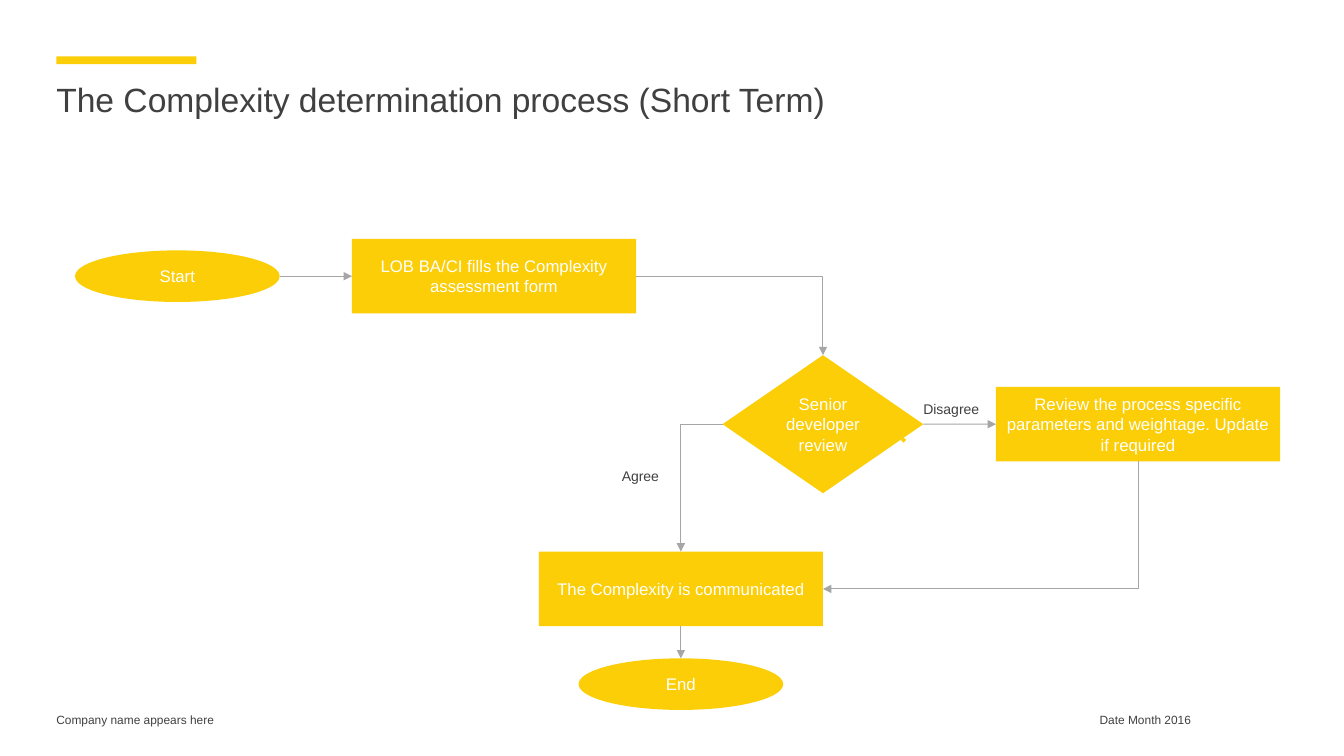
from lxml import etree
from pptx import Presentation, util as u
from pptx.dml.color import RGBColor
from pptx.enum import shapes, text
from pptx.oxml.ns import qn

FONT = "Arial"
COLORS = {"yellow": "FBCE07", "dark": "404040", "white": "FFFFFF", "gray": "A6A6A6"}
LEFT, CENTER = text.PP_ALIGN.LEFT, text.PP_ALIGN.CENTER
KIND = shapes.MSO_SHAPE

# Kind: preset shape, width, height (cm)
NODE_KINDS = {
    "terminal": (KIND.OVAL, 5.16, 1.3),
    "step": (KIND.RECTANGLE, 7.16, 1.88),
    "decision": (KIND.DIAMOND, 5.06, 3.48),
    "dot": (KIND.DIAMOND, 0.13, 0.13),
}
# Name: kind, centre x, centre y (cm), wording
NODES = {
    "start": ("terminal", 4.47, 6.96, "Start"),
    "form": ("step", 12.45, 6.96, "LOB BA/CI fills the Complexity assessment form"),
    "dot": ("dot", 22.77, 11.09, ""),
    "senior": ("decision", 20.74, 10.69, "Senior developer review"),
    "communicated": ("step", 17.16, 14.84, "The Complexity is communicated"),
    "update": ("step", 28.68, 10.69,
               "Review the process specific parameters and weightage. Update if required"),
    "end": ("terminal", 17.16, 17.24, "End"),
}
# From node, side, to node, side
FLOWS = [
    ("start", "right", "form", "left"),
    ("form", "right", "senior", "top"),
    ("senior", "left", "communicated", "top"),
    ("senior", "right", "update", "left"),
    ("update", "bottom", "communicated", "right"),
    ("communicated", "bottom", "end", "top"),
]
# Wording, left, top, width, height (cm), size (pt), alignment, line spacing
TEXTS = [
    ("The Complexity determination process (Short Term)", 1.42, 1.98, 31.04, 2.08, 24, LEFT, 1),
    ("Company name appears here", 1.42, 17.96, 9.32, 0.66, 8.5, LEFT, 1),
    ("Date Month 2016", 26.87, 17.96, 3.99, 0.66, 8.5, CENTER, 1),
    ("Disagree", 23.27, 9.93, 1.83, 0.53, 10, LEFT, 1.4),
    ("Agree", 15.67, 11.61, 1.83, 0.53, 10, LEFT, 1.4),
]
SIDES = {"top": 0, "left": 1, "bottom": 2, "right": 3}


def rgb(name):
    return RGBColor.from_string(COLORS[name])


def style_text(frame, wording, size, color, align, spacing=1):
    frame.word_wrap = True
    paragraph = frame.paragraphs[0]
    paragraph.text = wording
    paragraph.alignment = align
    paragraph.line_spacing = spacing
    paragraph.font.name = FONT
    paragraph.font.size = u.Pt(size)
    paragraph.font.color.rgb = rgb(color)


def add_text(slide, wording, left, top, width, height, size, align, spacing):
    box = slide.shapes.add_textbox(u.Cm(left), u.Cm(top), u.Cm(width), u.Cm(height))
    frame = box.text_frame
    frame.margin_left = frame.margin_right = frame.margin_top = frame.margin_bottom = 0
    style_text(frame, wording, size, "dark", align, spacing)


def add_block(slide, preset, left, top, width, height):
    shape = slide.shapes.add_shape(preset, u.Cm(left), u.Cm(top), u.Cm(width), u.Cm(height))
    shape.shadow.inherit = False
    shape.fill.solid()
    shape.fill.fore_color.rgb = rgb("yellow")
    shape.line.fill.background()
    return shape


def add_node(slide, kind, center_x, center_y, wording):
    preset, width, height = NODE_KINDS[kind]
    shape = add_block(slide, preset, center_x - width / 2, center_y - height / 2, width, height)
    if wording:
        shape.text_frame.vertical_anchor = text.MSO_ANCHOR.MIDDLE
        style_text(shape.text_frame, wording, 12, "white", CENTER)
    return shape


def turn_down_first(connector):
    """Turn a one-bend connector a quarter, so that it runs down and then left."""
    center_x = connector.left + connector.width // 2
    center_y = connector.top + connector.height // 2
    connector.width, connector.height = connector.height, connector.width
    connector.left = center_x - connector.width // 2
    connector.top = center_y - connector.height // 2
    frame = connector._element.spPr.find(qn("a:xfrm"))
    frame.set("flipH", "0")
    frame.set("rot", "5400000")


def add_flow(slide, nodes, source, source_side, target, target_side):
    straight = {source_side, target_side} in ({"left", "right"}, {"top", "bottom"})
    kind = shapes.MSO_CONNECTOR.STRAIGHT if straight else shapes.MSO_CONNECTOR.ELBOW
    connector = slide.shapes.add_connector(kind, 0, 0, 0, 0)
    connector.begin_connect(nodes[source], SIDES[source_side])
    connector.end_connect(nodes[target], SIDES[target_side])
    properties = connector._element.spPr
    # An ellipse has eight connection sites, two for each step round the outline
    for name, side, tag in ((source, source_side, "a:stCxn"), (target, target_side, "a:endCxn")):
        if NODES[name][0] == "terminal":
            site = next(connector._element.iter(qn(tag)))
            site.set("idx", str(SIDES[side] * 2))
    if not straight:
        properties.find(qn("a:prstGeom")).set("prst", "bentConnector2")
        if source_side == "bottom":
            turn_down_first(connector)
    connector.line.color.rgb = rgb("gray")
    connector.line.width = u.Pt(0.75)
    line = properties.find(qn("a:ln"))
    etree.SubElement(line, qn("a:tailEnd")).set("type", "triangle")
    etree.SubElement(properties, qn("a:effectLst"))


def main():
    presentation = Presentation()
    presentation.slide_width, presentation.slide_height = u.Cm(33.87), u.Cm(19.05)
    slide = presentation.slides.add_slide(presentation.slide_layouts[6])
    add_block(slide, KIND.RECTANGLE, 1.42, 1.42, 3.53, 0.2)
    nodes = {name: add_node(slide, *node) for name, node in NODES.items()}
    for flow in FLOWS:
        add_flow(slide, nodes, *flow)
    for item in TEXTS:
        add_text(slide, *item)
    presentation.save("out.pptx")


if __name__ == "__main__":
    main()
